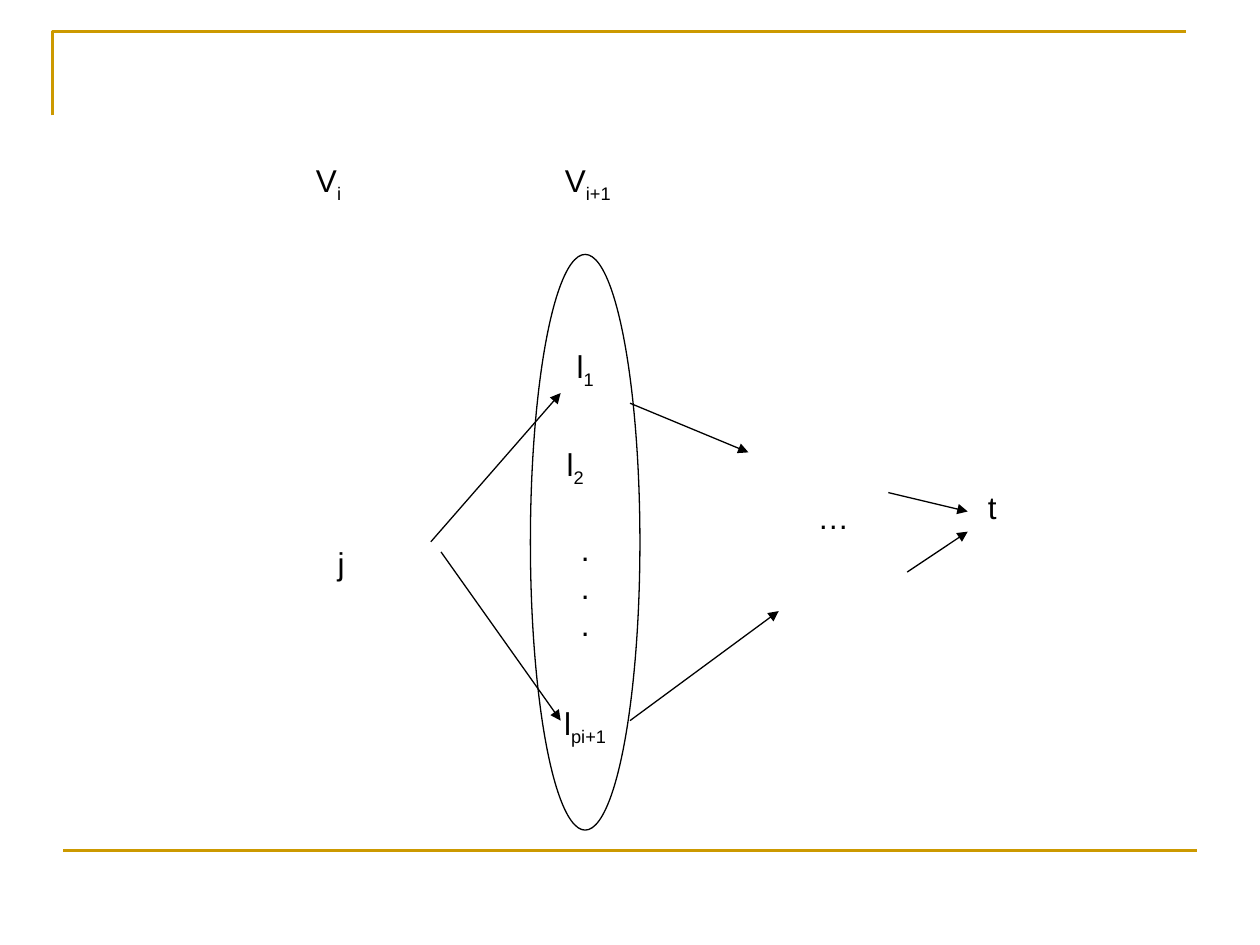
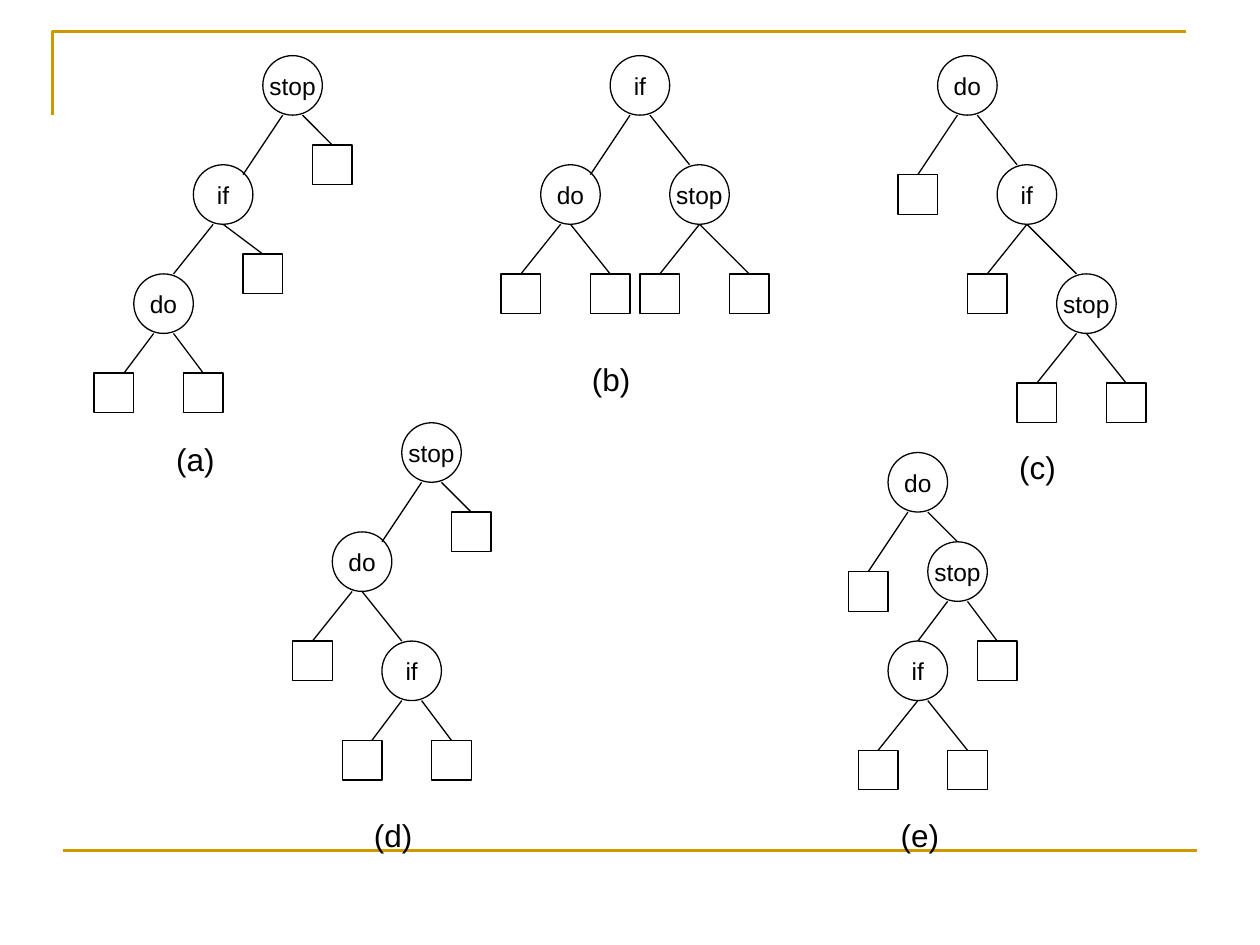
import dataclasses
import typing

import lxml.etree
import pptx
import pptx.dml.color
import pptx.enum.shapes
import pptx.enum.text
import pptx.oxml.ns
import pptx.presentation
import pptx.shapes.autoshape
import pptx.shapes.connector
import pptx.shapes.shapetree
import pptx.slide
import pptx.util

Pt = pptx.util.Pt
OVAL = pptx.enum.shapes.MSO_SHAPE.OVAL
SQUARE = pptx.enum.shapes.MSO_SHAPE.RECTANGLE
Canvas = typing.Union[pptx.shapes.shapetree.SlideShapes, pptx.shapes.shapetree.GroupShapes]
Point = tuple[float, float]

GOLD, BLACK = "CC9900", "000000"
FONT = "Arial"
RULE_WIDTH, STROKE_WIDTH = 1.5, 0.75
LABEL_SIZE, KEY_SIZE = 18, 14

# Trees lie on a square grid; sizes below count grid cells
CELL = 5.67
CIRCLE_CELLS, LEAF_CELLS = 6, 4
LEAF_TOP = (LEAF_CELLS / 2, 0)

FRAME_FORMAT = {
    "margin_left": Pt(7.2), "margin_right": Pt(7.2),
    "margin_top": Pt(3.6), "margin_bottom": Pt(3.6),
}
CENTRED_FORMAT = {
    **FRAME_FORMAT, "word_wrap": False,
    "vertical_anchor": pptx.enum.text.MSO_ANCHOR.MIDDLE,
}
GROWING_FORMAT = {**FRAME_FORMAT, "auto_size": pptx.enum.text.MSO_AUTO_SIZE.SHAPE_TO_FIT_TEXT}


@dataclasses.dataclass(frozen=True)
class Label:
    text: str
    left: float
    top: float
    width: float
    height: float
    subscript: str = ""


@dataclasses.dataclass(frozen=True)
class Node:
    """x, y: cells from the parent's corner; stem: where its edge leaves the
    parent; tip: where the edge meets this node. A node without key is a leaf."""
    key: str
    x: float
    y: float
    stem: float = 0
    tip: Point = LEAF_TOP
    children: tuple["Node", ...] = ()


@dataclasses.dataclass(frozen=True)
class Tree:
    left: float
    top: float
    root: Node
    caption: Label


def leaf(x: float, y: float, stem: float, tip: Point = LEAF_TOP) -> Node:
    return Node("", x, y, stem, tip)


def vertex(text: str, left: float, top: float, subscript: str = "") -> Label:
    return Label(text, left, top, 39.6, 39.6, subscript)


def caption(letter: str, left: float, top: float) -> Label:
    return Label(f"({letter})", left, top, 79.2, 28.8)


# Stage graph
STAGE_OVAL = (303.1, 145.4, 62.6, 329)
STAGE_VERTICES = [
    vertex("l", 314.6, 190.8, "1"),
    vertex("l", 308.9, 247, "2"),
    vertex(".\n.\n.", 314.6, 315.4),
    vertex("l", 314.6, 394.6, "pi+1"),
    vertex("t", 547.2, 270),
    vertex("…", 456.5, 275.8),
]
STAGE_HEADINGS = [
    Label("j", 185.8, 307.4, 18, 28.8),
    Label("V", 173.5, 88.6, 28.8, 31.7, "i"),
    Label("V", 315.7, 88.6, 46, 31.7, "i+1"),
]
STAGE_ARROWS: list[tuple[Point, Point]] = [
    ((246.2, 309.6), (320.4, 224.6)),
    ((252, 315.4), (320.4, 411.8)),
    ((360, 230.4), (427.7, 258.5)),
    ((360, 411.8), (445, 349.2)),
    ((507.6, 281.5), (553, 292.3)),
    ((518.4, 326.9), (553, 303.8)),
]

# Binary search trees
TREES = [
    Tree(150.2, 31.8, Node("stop", 0, 0, children=(
        Node("if", -7, 11, 2, (5, 1), (
            Node("do", -6, 11, 2, (4, 0), (leaf(-4, 10, 2, (3, 0)), leaf(5, 10, 4))),
            leaf(5, 9, 3))),
        leaf(5, 9, 4))), caption("a", 93.6, 247.7)),
    Tree(348.7, 31.8, Node("if", 0, 0, children=(
        Node("do", -7, 11, 2, (5, 1), (leaf(-4, 11, 2), leaf(5, 11, 3))),
        Node("stop", 6, 11, 4, children=(leaf(-3, 11, 3), leaf(6, 11, 3))))),
        caption("b", 331.2, 202.3)),
    Tree(535.8, 31.8, Node("do", 0, 0, children=(
        leaf(-4, 12, 2),
        Node("if", 6, 11, 4, children=(
            leaf(-3, 11, 3),
            Node("stop", 6, 11, 3, children=(leaf(-4, 11, 2), leaf(5, 11, 3))))))),
        caption("c", 575.3, 252.7)),
    Tree(229.6, 241.6, Node("stop", 0, 0, children=(
        Node("do", -7, 11, 2, (5, 1), (
            leaf(-4, 11, 2),
            Node("if", 5, 11, 3, children=(leaf(-4, 10, 2, (3, 0)), leaf(5, 10, 4))))),
        leaf(5, 9, 4))), caption("d", 206.6, 463)),
    Tree(507.5, 258.6, Node("do", 0, 0, children=(
        leaf(-4, 12, 2),
        Node("stop", 4, 9, 4, (3, 0), (
            Node("if", -4, 10, 2, (3, 0), (leaf(-3, 11, 3), leaf(6, 11, 4))),
            leaf(5, 10, 4))))), caption("e", 507.6, 463)),
]


def colour(hex_value: str) -> pptx.dml.color.RGBColor:
    return pptx.dml.color.RGBColor.from_string(hex_value)


def apply_format(target: typing.Any, values: dict[str, typing.Any]) -> None:
    for name, value in values.items():
        setattr(target, name, value)


def style_outline(shape: typing.Any, hex_value: str, width: float) -> None:
    shape.line.color.rgb = colour(hex_value)
    shape.line.width = Pt(width)


def write(frame: typing.Any, text: str, size: float, centred: bool, subscript: str = "") -> None:
    align = pptx.enum.text.PP_ALIGN.CENTER if centred else pptx.enum.text.PP_ALIGN.LEFT
    for index, line in enumerate(text.split("\n")):
        paragraph = frame.paragraphs[0] if index == 0 else frame.add_paragraph()
        paragraph.alignment = align
        for part, baseline in ((line, 0), (subscript, -25000)):
            if not part:
                continue
            run = paragraph.add_run()
            run.text = part
            apply_format(run.font, {"name": FONT, "size": Pt(size)})
            run.font.color.rgb = colour(BLACK)
            if baseline:
                run.font._element.set("baseline", str(baseline))


def draw_outline(canvas: Canvas, kind: pptx.enum.shapes.MSO_SHAPE, left: float, top: float,
                 width: float, height: float,
                 visible: bool = True) -> pptx.shapes.autoshape.Shape:
    shape = canvas.add_shape(kind, Pt(left), Pt(top), Pt(width), Pt(height))
    shape.shadow.inherit = False
    shape.fill.background()
    if visible:
        style_outline(shape, BLACK, STROKE_WIDTH)
    else:
        shape.line.fill.background()
    return shape


def draw_line(canvas: Canvas, start: Point, end: Point, hex_value: str = BLACK,
              width: float = STROKE_WIDTH,
              arrow: bool = False) -> pptx.shapes.connector.Connector:
    line = canvas.add_connector(pptx.enum.shapes.MSO_CONNECTOR.STRAIGHT,
                                *(Pt(value) for value in start + end))
    style_outline(line, hex_value, width)
    properties = line._element.spPr
    if arrow:
        outline = properties.find(pptx.oxml.ns.qn("a:ln"))
        lxml.etree.SubElement(outline, pptx.oxml.ns.qn("a:tailEnd"), type="triangle")
    lxml.etree.SubElement(properties, pptx.oxml.ns.qn("a:effectLst"))
    return line


def draw_label(canvas: Canvas, label: Label, wrap: bool) -> None:
    box = canvas.add_textbox(Pt(label.left), Pt(label.top), Pt(label.width), Pt(label.height))
    apply_format(box.text_frame, {**GROWING_FORMAT, "word_wrap": wrap})
    write(box.text_frame, label.text, LABEL_SIZE, False, label.subscript)


def draw_node(canvas: Canvas, node: Node, left: float, top: float) -> pptx.shapes.autoshape.Shape:
    """Draw a node with its corner at left, top, then its subtrees and edges."""
    kind, cells = (OVAL, CIRCLE_CELLS) if node.key else (SQUARE, LEAF_CELLS)
    shape = draw_outline(canvas, kind, left, top, cells * CELL, cells * CELL)
    if node.key:
        apply_format(shape.text_frame, CENTRED_FORMAT)
        write(shape.text_frame, node.key, KEY_SIZE, True)
    for child in node.children:
        child_left, child_top = left + child.x * CELL, top + child.y * CELL
        child_shape = draw_node(canvas, child, child_left, child_top)
        edge = draw_line(canvas, (left + child.stem * CELL, top + CIRCLE_CELLS * CELL),
                         (child_left + child.tip[0] * CELL, child_top + child.tip[1] * CELL))
        if not child.key and child.tip == LEAF_TOP:
            edge.end_connect(child_shape, 0)
    return shape


def add_framed_slide(deck: pptx.presentation.Presentation) -> pptx.slide.Slide:
    """Blank slide with the gold corner above and the gold rule below."""
    slide = deck.slides.add_slide(deck.slide_layouts[6])
    builder = slide.shapes.build_freeform(Pt(30), Pt(66), scale=1.0)
    builder.add_line_segments([(Pt(30), Pt(18)), (Pt(678), Pt(18))], close=False)
    corner = builder.convert_to_shape()
    corner.shadow.inherit = False
    corner.fill.background()
    style_outline(corner, GOLD, RULE_WIDTH)
    draw_line(slide.shapes, (36, 486), (684, 486), GOLD, RULE_WIDTH)
    return slide


def build_stage_graph(deck: pptx.presentation.Presentation) -> None:
    shapes = add_framed_slide(deck).shapes
    for item in STAGE_VERTICES:
        spot = draw_outline(shapes, OVAL, item.left, item.top, item.width, item.height, False)
        apply_format(spot.text_frame, CENTRED_FORMAT)
        write(spot.text_frame, item.text, LABEL_SIZE, True, item.subscript)
    draw_outline(shapes, OVAL, *STAGE_OVAL)
    for start, end in STAGE_ARROWS:
        draw_line(shapes, start, end, arrow=True)
    for heading in STAGE_HEADINGS:
        draw_label(shapes, heading, wrap=False)


def build_search_trees(deck: pptx.presentation.Presentation) -> None:
    slide = add_framed_slide(deck)
    for tree in TREES:
        group = slide.shapes.add_group_shape()
        draw_node(group.shapes, tree.root, tree.left, tree.top)
        draw_label(group.shapes, tree.caption, wrap=True)


def main() -> None:
    deck = pptx.Presentation()
    deck.slide_width, deck.slide_height = Pt(720), Pt(540)
    build_stage_graph(deck)
    build_search_trees(deck)
    deck.save("out.pptx")


if __name__ == "__main__":
    main()
